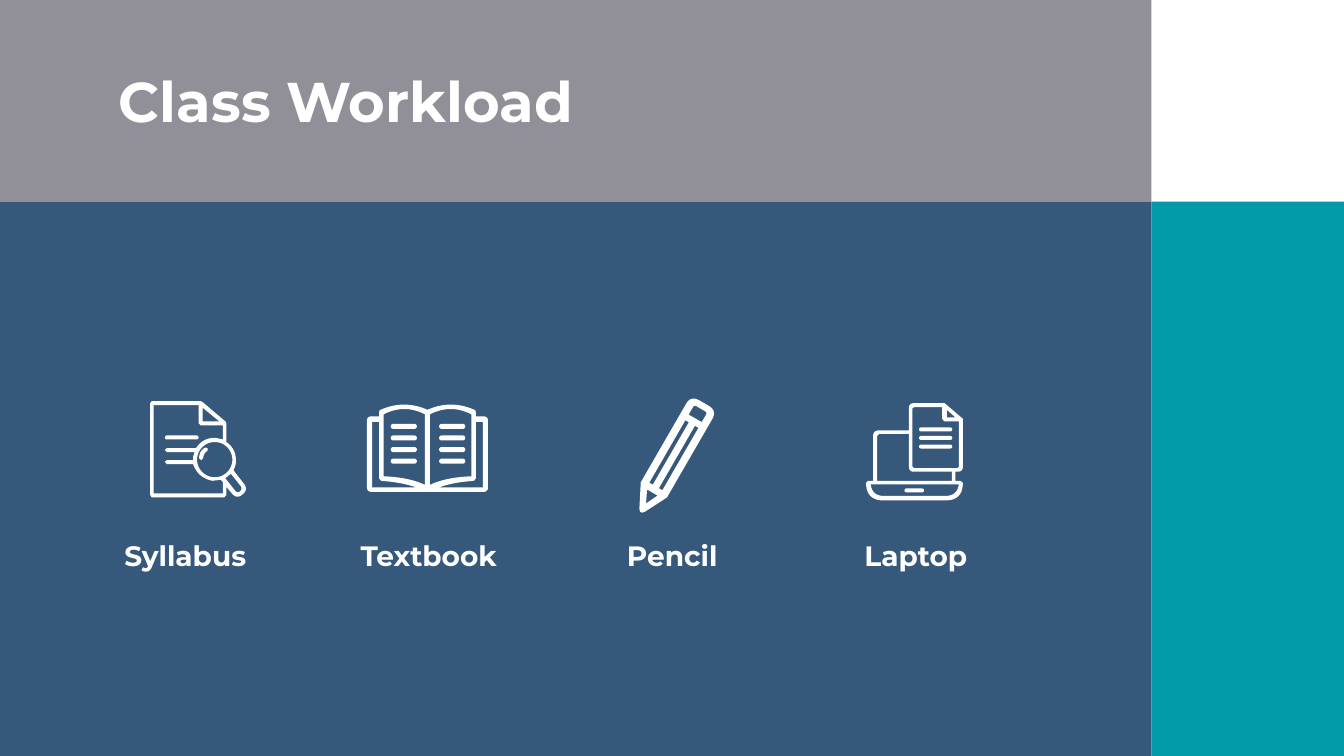
from dataclasses import dataclass
from math import cos, pi, sin

from pptx import Presentation
from pptx.dml.color import RGBColor
from pptx.enum.shapes import MSO_SHAPE
from pptx.enum.text import MSO_AUTO_SIZE, PP_ALIGN
from pptx.util import Inches, Pt


@dataclass(frozen=True)
class Theme:
    font: str = "Montserrat"
    title_size: int = 80
    label_size: int = 40
    white: str = "FFFFFF"
    gray: str = "919098"
    blue: str = "36597B"
    teal: str = "009AA8"


THEME = Theme()
WIDTH, HEIGHT = 26.66, 15
MAIN_WIDTH, HEADER_HEIGHT = 22.84, 4
TITLE = "Class Workload"
TITLE_BOX = (2.26, 1.28, 10.62, 1.45)
LABEL_LEFT, LABEL_TOP, LABEL_PITCH = 1.69, 10.63, 4.83
LABEL_WIDTH, LABEL_HEIGHT = 3.97, 0.77


def bow(start, control, end, steps=10):
    """Points along a quadratic curve."""
    points = []
    for step in range(steps + 1):
        t = step / steps
        weights = ((1 - t) ** 2, 2 * t * (1 - t), t ** 2)
        points.append(tuple(
            sum(w * p[axis] for w, p in zip(weights, (start, control, end)))
            for axis in (0, 1)))
    return points


def circle(x, y, radius, steps=48):
    angles = [2 * pi * step / steps for step in range(steps)]
    return [(x + radius * cos(a), y + radius * sin(a)) for a in angles]


def flip(points):
    return [(-x, y) for x, y in points]


def symmetric(half):
    """Closed contour from its right half, mirrored about x = 0."""
    return half + flip(half)[::-1]


# Points are inches from each icon's origin; the first contour is the outline,
# the following ones are holes in it.
SYLLABUS_SHEET = [
    [(0, 0.04), (0, 1.86), (0.03, 1.91), (1.47, 1.91), (1.51, 1.86), (1.51, 1.7),
     *bow((1.62, 1.83), (1.72, 1.95), (1.83, 1.85)),
     *bow((1.83, 1.85), (1.95, 1.76), (1.86, 1.64)),
     *bow((1.65, 1.37), (1.7, 1.28), (1.7, 1.2)),
     *bow((1.7, 1.2), (1.71, 0.95), (1.51, 0.81)),
     (1.51, 0.44), (1.5, 0.41), (1.03, 0.01), (1, 0), (0.03, 0)],
    [*bow((1.8, 1.69), (1.83, 1.75), (1.78, 1.79)),
     *bow((1.78, 1.79), (1.73, 1.83), (1.68, 1.77)), (1.49, 1.53), (1.6, 1.44)],
    circle(1.28, 1.16, 0.35),
    [(1.04, 0.13), (1.37, 0.4), (1.04, 0.4)],
    [(0.07, 0.08), (0.96, 0.08), (0.96, 0.44), (1, 0.48), (1.44, 0.48), (1.44, 0.76),
     *bow((1.31, 0.73), (1.06, 0.71), (0.91, 0.93)),
     (0.33, 0.93), (0.29, 0.97), (0.33, 1.01), (0.88, 1.01), (0.85, 1.11),
     (0.85, 1.17), (0.33, 1.17), (0.29, 1.2), (0.33, 1.25),
     *bow((0.85, 1.25), (0.95, 1.52), (1.23, 1.58)),
     (1.4, 1.56), (1.44, 1.6), (1.44, 1.83), (0.07, 1.83)],
]
LENS_GLINT = [
    [*bow((1.09, 0.92), (0.97, 0.99), (0.97, 1.13)), (1.01, 1.17),
     *bow((1.05, 1.13), (1.06, 1.03), (1.14, 0.98)), (1.14, 0.93)],
]

BOOK_PAGE = [*bow((0.05, 0.22), (0.46, 0.01), (0.87, 0.22)),
             *bow((0.87, 1.45), (0.36, 1.47), (0.05, 1.62))]
BOOK_COVER = [(1.1, 0.37), (0.96, 0.37), (0.96, 1.49),
              *bow((0.92, 1.54), (0.5, 1.57), (0.23, 1.67)), (1.1, 1.67)]
BOOK = [
    symmetric([*bow((0, 0.13), (0.48, -0.08), (0.95, 0.14)), (0.96, 0.19), (0.96, 0.26),
               *bow((1.1, 0.26), (1.2, 0.26), (1.2, 0.35)),
               *bow((1.2, 1.67), (1.2, 1.76), (1.1, 1.76))]),
    BOOK_PAGE, flip(BOOK_PAGE), BOOK_COVER, flip(BOOK_COVER),
]

PENCIL_STRIPE = [(0.07, -0.77), (0.15, -0.77), (0.15, 0.66), (0.07, 0.66)]
PENCIL = [
    symmetric([*bow((0.1, -1.25), (0.29, -1.25), (0.3, -1.08)), (0.3, 0.74),
               (0.06, 1.21), (0.02, 1.25)]),
    PENCIL_STRIPE, flip(PENCIL_STRIPE),
    symmetric([*bow((0.1, -1.12), (0.15, -1.12), (0.15, -1.07)), (0.15, -0.9)]),
    [(0, 1.05), (-0.12, 0.8), (0.12, 0.8)],
]

LAPTOP = [
    [(1.87, 1.54), (1.77, 1.54), (1.77, 1.36),
     *bow((1.81, 1.36), (1.92, 1.36), (1.92, 1.26)),
     (1.92, 0.31), (1.57, 0.01), (1.55, 0), *bow((0.95, 0), (0.85, 0), (0.85, 0.1)),
     (0.85, 0.54), *bow((0.26, 0.54), (0.14, 0.54), (0.14, 0.65)),
     (0.14, 1.54), (0.04, 1.54), *bow((0, 1.58), (0, 1.93), (0.35, 1.93)),
     *bow((1.57, 1.93), (1.92, 1.93), (1.92, 1.58))],
    [(1.6, 0.13), (1.77, 0.28), (1.6, 0.28)],
    [(0.95, 0.08), (1.51, 0.08), (1.51, 0.31), (1.55, 0.36), (1.84, 0.36), (1.84, 1.26),
     (1.81, 1.29), (0.95, 1.29), (0.92, 1.26), (0.92, 0.1)],
    [(0.22, 0.65), (0.26, 0.61), (0.85, 0.61),
     *bow((0.85, 1.26), (0.85, 1.36), (0.95, 1.36)),
     (1.7, 1.36), (1.7, 1.54), (0.22, 1.54)],
    [*bow((0.35, 1.84), (0.12, 1.84), (0.09, 1.61)),
     *bow((1.84, 1.61), (1.81, 1.84), (1.57, 1.84))],
]

# Bars are left, top, width, height from the icon's origin.
ITEMS = [
    dict(label="Syllabus", origin=(2.98, 7.96), outlines=[SYLLABUS_SHEET, LENS_GLINT],
         bars=[(0.29, 0.68, 0.67, 0.08)]),
    dict(label="Textbook", origin=(8.48, 8), outlines=[BOOK],
         bars=[(left, 0.41 + 0.23 * row, 0.52, 0.1)
               for left in (-0.73, 0.23) for row in range(4)]),
    dict(label="Pencil", origin=(13.34, 9.08), outlines=[PENCIL], rotation=30),
    dict(label="Laptop", origin=(17.18, 8), outlines=[LAPTOP],
         bars=[(0.76, 1.69, 0.39, 0.08)]
         + [(1.05, 0.48 + 0.17 * row, 0.66, 0.08) for row in range(3)]),
]


def paint(shape, color):
    shape.shadow.inherit = False
    shape.fill.solid()
    shape.fill.fore_color.rgb = RGBColor.from_string(color)
    shape.line.fill.background()


def add_block(shapes, kind, frame, color):
    block = shapes.add_shape(kind, *map(Inches, frame))
    paint(block, color)
    return block


def add_text(page, text, frame, size, align=PP_ALIGN.LEFT):
    box = page.shapes.add_textbox(*map(Inches, frame))
    box.text_frame.word_wrap = True
    box.text_frame.auto_size = MSO_AUTO_SIZE.SHAPE_TO_FIT_TEXT
    para = box.text_frame.paragraphs[0]
    para.alignment = align
    span = para.add_run()
    span.text = text
    span.font.name, span.font.size, span.font.bold = THEME.font, Pt(size), True
    span.font.color.rgb = RGBColor.from_string(THEME.white)


def add_outline(shapes, contours, origin, rotation):
    contours = [[(Inches(x), Inches(y)) for x, y in points] for points in contours]
    builder = shapes.build_freeform(*contours[0][0])
    for index, points in enumerate(contours):
        if index:
            builder.move_to(*points[0])
        builder.add_line_segments(points[1:], close=True)
    outline = builder.convert_to_shape(*map(Inches, origin))
    paint(outline, THEME.white)
    outline.rotation = rotation


def add_icon(page, item):
    shapes = page.shapes.add_group_shape().shapes
    x, y = item["origin"]
    for contours in item["outlines"]:
        add_outline(shapes, contours, (x, y), item.get("rotation", 0))
    for left, top, width, height in item.get("bars", []):
        bar = add_block(shapes, MSO_SHAPE.ROUNDED_RECTANGLE,
                        (x + left, y + top, width, height), THEME.white)
        bar.adjustments[0] = 0.5


def main():
    deck = Presentation()
    deck.slide_width, deck.slide_height = Inches(WIDTH), Inches(HEIGHT)
    page = deck.slides.add_slide(deck.slide_layouts[6])
    body_height = HEIGHT - HEADER_HEIGHT
    panels = [
        ((0, 0, MAIN_WIDTH, HEADER_HEIGHT), THEME.gray),
        ((0, HEADER_HEIGHT, MAIN_WIDTH, body_height), THEME.blue),
        ((MAIN_WIDTH, HEADER_HEIGHT, WIDTH - MAIN_WIDTH, body_height), THEME.teal),
    ]
    for frame, color in panels:
        add_block(page.shapes, MSO_SHAPE.RECTANGLE, frame, color)
    add_text(page, TITLE, TITLE_BOX, THEME.title_size)
    for column, item in enumerate(ITEMS):
        left = LABEL_LEFT + column * LABEL_PITCH
        add_text(page, item["label"], (left, LABEL_TOP, LABEL_WIDTH, LABEL_HEIGHT),
                 THEME.label_size, PP_ALIGN.CENTER)
        add_icon(page, item)
    deck.save("out.pptx")


if __name__ == "__main__":
    main()
